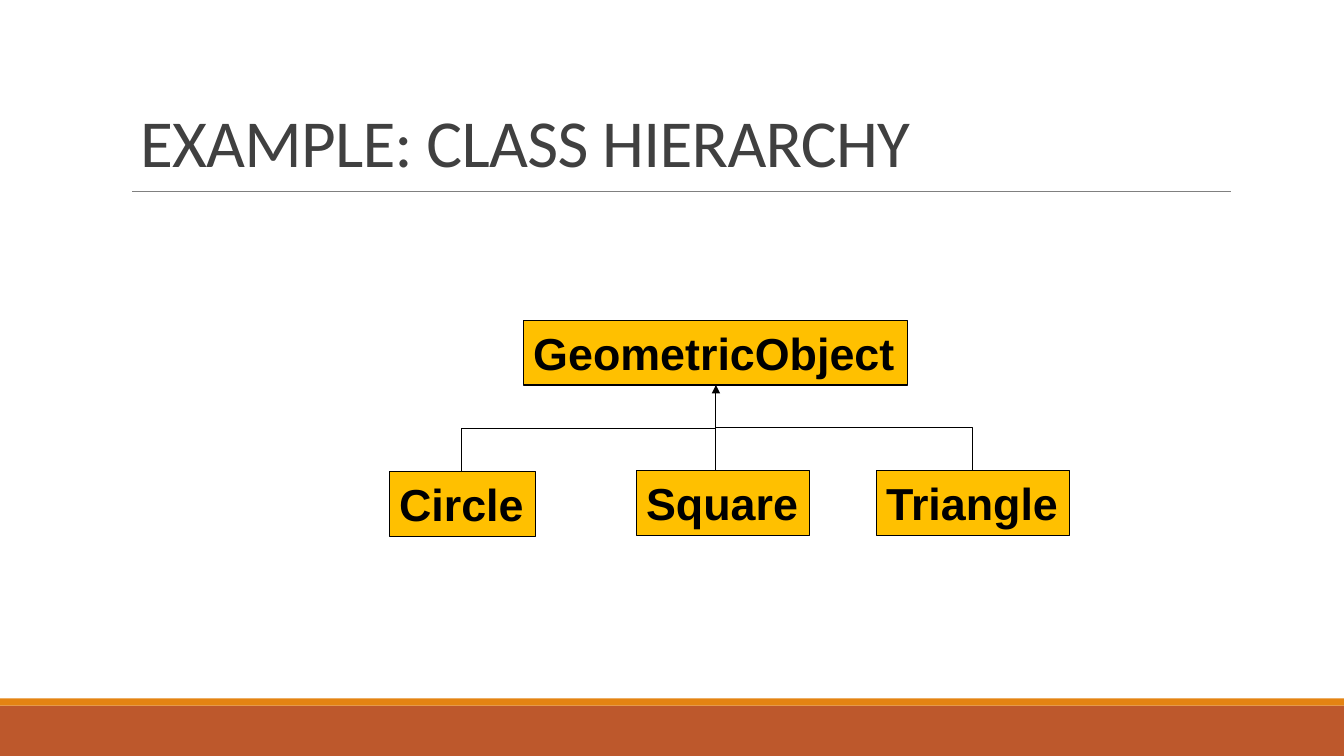
from pptx import Presentation
from pptx.dml.color import RGBColor
from pptx.enum.shapes import MSO_CONNECTOR, MSO_SHAPE
from pptx.enum.text import MSO_ANCHOR, MSO_AUTO_SIZE, PP_ALIGN
from pptx.oxml.ns import qn
from pptx.util import Inches, Pt
from lxml import etree

RECTANGLE = MSO_SHAPE.RECTANGLE
STRAIGHT, ELBOW = MSO_CONNECTOR.STRAIGHT, MSO_CONNECTOR.ELBOW
TOP, BOTTOM = MSO_ANCHOR.TOP, MSO_ANCHOR.BOTTOM
LEFT = PP_ALIGN.LEFT
GROW = MSO_AUTO_SIZE.SHAPE_TO_FIT_TEXT

RUST = RGBColor(0xBD, 0x58, 0x2C)
ORANGE = RGBColor(0xE4, 0x83, 0x12)
GOLD = RGBColor(0xFF, 0xC0, 0x00)
BLACK = RGBColor(0x00, 0x00, 0x00)
GRAY = RGBColor(0x80, 0x80, 0x80)
CHARCOAL = RGBColor(0x40, 0x40, 0x40)

SLIDE_WIDTH, SLIDE_HEIGHT = 13.33, 7.5
BOX_HEIGHT = 0.64


class HierarchySlide:
    """Holds the diagram style and draws on one slide; lengths are inches."""

    title_font, box_font = "Calibri", "Arial"
    title_size, box_size = 48, 32

    def __init__(self, slide):
        self.slide = slide

    def rectangle(self, left, top, width, height, color):
        shape = self.slide.shapes.add_shape(
            RECTANGLE, Inches(left), Inches(top), Inches(width), Inches(height))
        shape.shadow.inherit = False
        shape.fill.solid()
        shape.fill.fore_color.rgb = color
        shape.line.fill.background()
        return shape

    def title(self, text, left, top, width, height):
        shape = self.slide.shapes.add_textbox(
            Inches(left), Inches(top), Inches(width), Inches(height))
        frame = shape.text_frame
        frame.text = text
        frame.word_wrap = True
        frame.vertical_anchor = BOTTOM
        paragraph = frame.paragraphs[0]
        paragraph.line_spacing = 0.85
        run = paragraph.runs[0]
        self.format_font(run.font, self.title_font, self.title_size, CHARCOAL)
        run.font._element.set("spc", "-50")

    def class_box(self, name, left, top, width):
        shape = self.rectangle(left, top, width, BOX_HEIGHT, GOLD)
        shape.line.color.rgb = BLACK
        shape.line.width = Pt(0.75)
        frame = shape.text_frame
        frame.text = name
        frame.word_wrap = False
        frame.auto_size = GROW
        frame.vertical_anchor = TOP
        paragraph = frame.paragraphs[0]
        paragraph.alignment = LEFT
        font = paragraph.runs[0].font
        self.format_font(font, self.box_font, self.box_size, BLACK)
        font.bold = True

    def format_font(self, font, name, size, color):
        font.name = name
        font.size = Pt(size)
        font.color.rgb = color

    def line(self, start, end, color=BLACK, weight=0.75, kind=STRAIGHT):
        connector = self.slide.shapes.add_connector(
            kind, *(Inches(value) for value in (*start, *end)))
        connector.line.color.rgb = color
        connector.line.width = Pt(weight)
        etree.SubElement(connector._element.spPr, qn("a:effectLst"))
        return connector

    def elbow(self, child, parent, arrow=False):
        """Go up, across and up: a horizontal elbow turned by a quarter."""
        center_x = (child[0] + parent[0]) / 2
        center_y = (child[1] + parent[1]) / 2
        half_run = abs(child[0] - parent[0]) / 2
        half_rise = (child[1] - parent[1]) / 2
        from_left = child[0] < parent[0]
        reach = half_rise if from_left else -half_rise
        connector = self.line((center_x + reach, center_y + half_run),
                              (center_x - reach, center_y - half_run), kind=ELBOW)
        transform = connector._element.spPr.find(qn("a:xfrm"))
        transform.set("rot", str((90 if from_left else 270) * 60000))
        if arrow:
            outline = connector._element.spPr.find(qn("a:ln"))
            etree.SubElement(outline, qn("a:tailEnd"), type="triangle")


def main():
    presentation = Presentation()
    presentation.slide_width = Inches(SLIDE_WIDTH)
    presentation.slide_height = Inches(SLIDE_HEIGHT)
    page = HierarchySlide(presentation.slides.add_slide(presentation.slide_layouts[6]))

    # Footer bands and title rule
    page.rectangle(0, 7, SLIDE_WIDTH, 0.5, RUST)
    page.rectangle(0, 6.93, SLIDE_WIDTH, 0.07, ORANGE)
    page.line((1.31, 1.9), (12.21, 1.9), GRAY, 0.5)
    page.title("EXAMPLE: CLASS HIERARCHY", 1.29, 0.77, 8.92, 1.08)

    # Class boxes
    for name, left, top, width in (
        ("GeometricObject", 5.19, 3.18, 3.81),
        ("Circle", 3.86, 4.68, 1.45),
        ("Square", 6.31, 4.67, 1.72),
        ("Triangle", 8.69, 4.67, 1.92),
    ):
        page.class_box(name, left, top, width)

    # Inheritance lines
    parent = (7.1, 3.82)
    page.elbow((4.58, 4.68), parent, arrow=True)
    page.line((7.1, 4.25), (7.1, 4.67))
    page.elbow((9.65, 4.67), parent)

    presentation.save("out.pptx")


if __name__ == "__main__":
    main()
